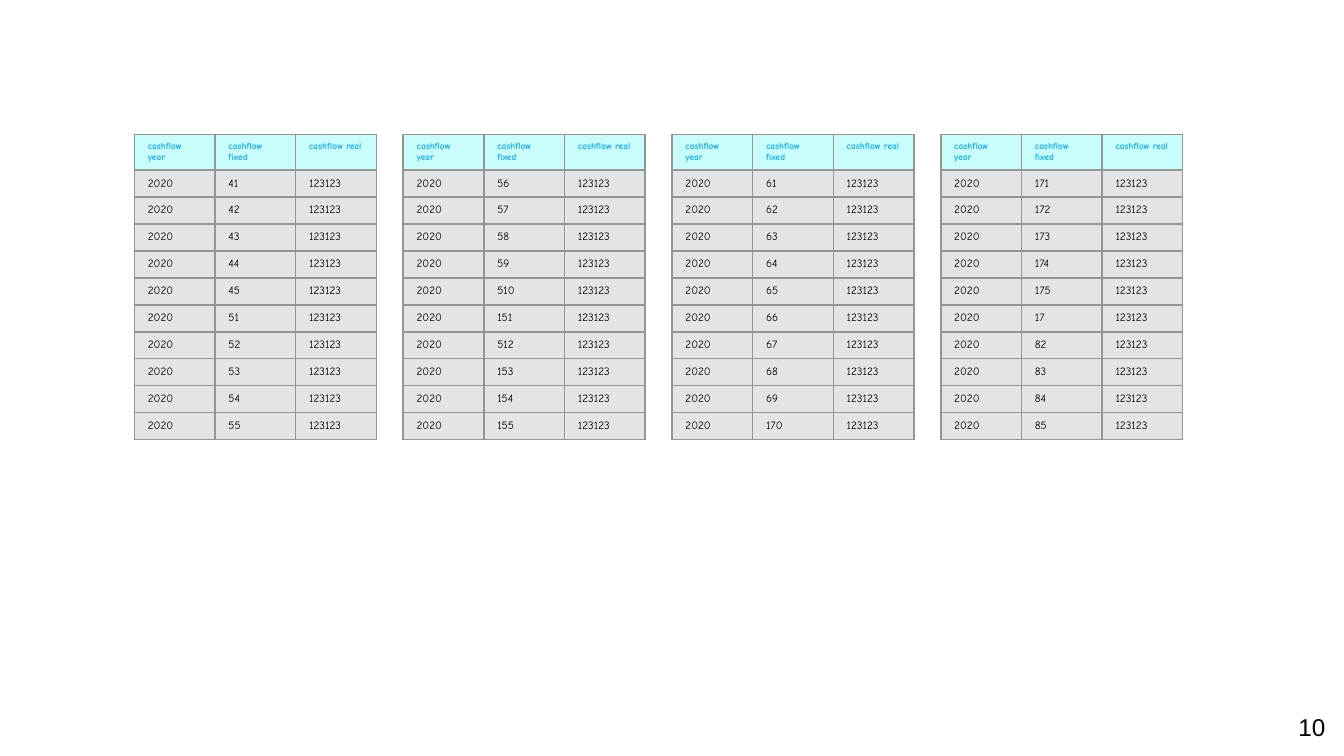
from lxml import etree
from pptx import Presentation
from pptx.dml.color import RGBColor
from pptx.enum.text import MSO_ANCHOR, PP_ALIGN
from pptx.oxml.ns import qn
from pptx.util import Inches, Pt

RIGHT = PP_ALIGN.RIGHT
MIDDLE = MSO_ANCHOR.MIDDLE
COLORS = {
    "header_fill": "C8FDFB",
    "header_text": "13AAF6",
    "body_fill": "E4E4E4",
    "text": "000000",
    "border": "949595",
}
HEADINGS = ["cashflow year", "cashflow fixed", "cashflow real"]
YEAR = "2020"
REAL = "123123"
FIXED_VALUES = [
    [41, 42, 43, 44, 45, 51, 52, 53, 54, 55],
    [56, 57, 58, 59, 510, 151, 512, 153, 154, 155],
    [61, 62, 63, 64, 65, 66, 67, 68, 69, 170],
    [171, 172, 173, 174, 175, 17, 82, 83, 84, 85],
]


class CashflowSlide:
    table_font = "Comic Neue"
    page_font = "Arial"
    unit = Inches(1)
    border_width = Pt(0.94)
    inset = Inches(0.1)

    def __init__(self, deck):
        self.slide = deck.slides.add_slide(deck.slide_layouts[6])

    def grid(self, *lengths):
        return [round(length * self.unit) for length in lengths]

    def style(self, para, font, size, color, bold=False):
        para.font.name = font
        para.font.size = Pt(size)
        para.font.bold = bold
        para.font.color.rgb = RGBColor.from_string(COLORS[color])

    def border(self, cell):
        properties = cell._tc.get_or_add_tcPr()
        for side in ("a:lnL", "a:lnR", "a:lnT", "a:lnB"):
            line = etree.SubElement(properties, qn(side), w=str(self.border_width))
            fill = etree.SubElement(line, qn("a:solidFill"))
            etree.SubElement(fill, qn("a:srgbClr"), val=COLORS["border"])

    def cell(self, cell, text, is_header):
        kind = "header" if is_header else "body"
        cell.text = text
        self.border(cell)
        cell.fill.solid()
        cell.fill.fore_color.rgb = RGBColor.from_string(COLORS[f"{kind}_fill"])
        size, color = (5, "header_text") if is_header else (6, "text")
        self.style(cell.text_frame.paragraphs[0], self.table_font, size, color, is_header)

    def table(self, rows, left, top, width, height):
        left, top, width, height = self.grid(left, top, width, height)
        frame = self.slide.shapes.add_table(
            len(rows), len(rows[0]), left, top, width, height)
        table = frame.table
        table.first_row = False
        table.horz_banding = False
        for row_index, row in enumerate(rows):
            table.rows[row_index].height = 0
            for column_index, text in enumerate(row):
                self.cell(table.cell(row_index, column_index), text, row_index == 0)
        frame.height = height

    def page_number(self, text, left, top, width, height):
        box = self.slide.shapes.add_textbox(*self.grid(left, top, width, height))
        frame = box.text_frame
        frame.word_wrap = True
        frame.vertical_anchor = MIDDLE
        frame.margin_left = frame.margin_right = self.inset
        frame.margin_top = frame.margin_bottom = self.inset
        para = frame.paragraphs[0]
        para.text = text
        para.alignment = RIGHT
        self.style(para, self.page_font, 13, "text")


deck = Presentation()
deck.slide_width = Inches(10)
deck.slide_height = Inches(5.625)

page = CashflowSlide(deck)
page.page_number("10", 9.36, 5.19, 0.6, 0.43)
for index, values in enumerate(FIXED_VALUES):
    rows = [HEADINGS] + [[YEAR, str(value), REAL] for value in values]
    page.table(rows, 1 + 2 * index, 1, 1.8, 0.04)

deck.save("out.pptx")
